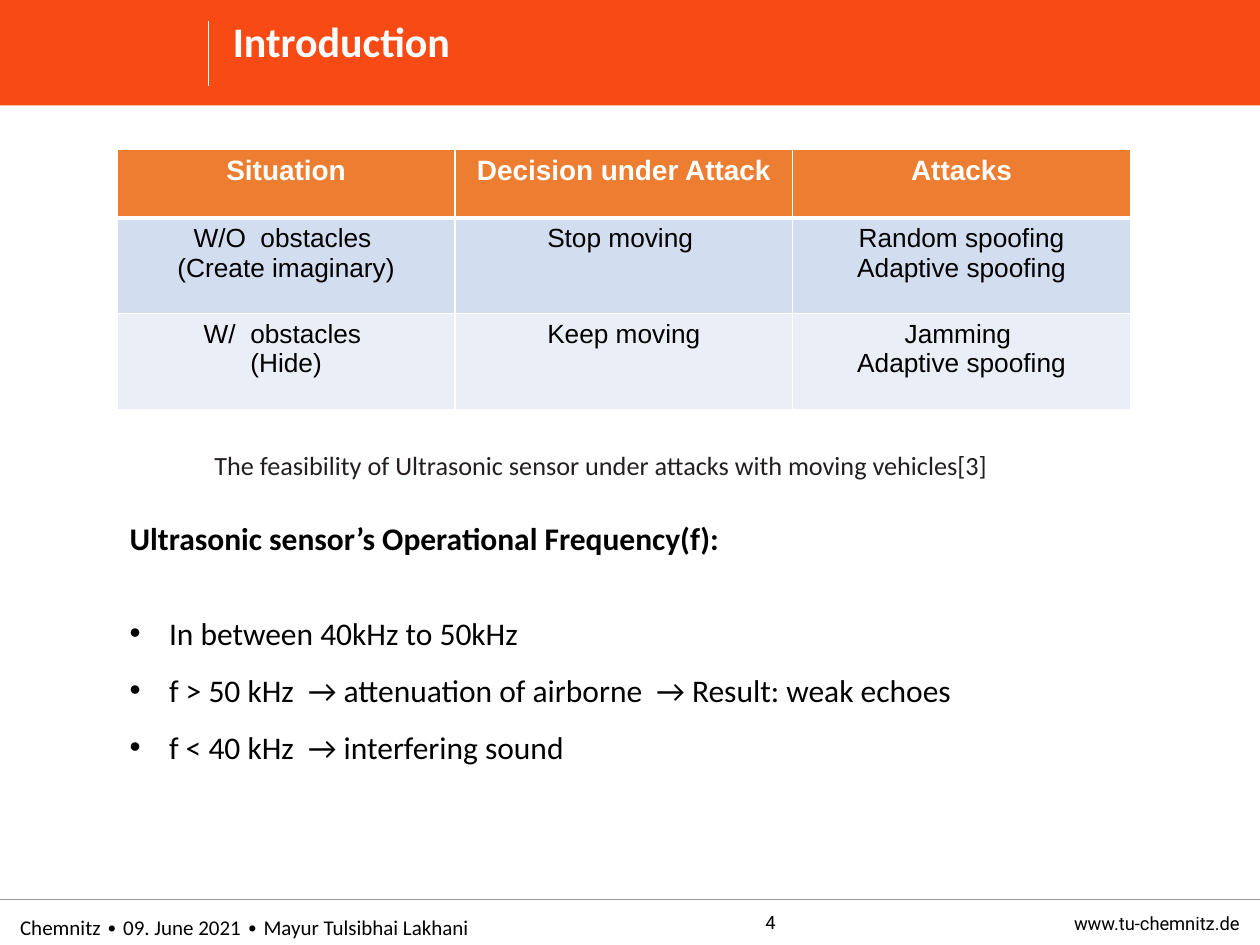
import pptx
import pptx.util
import pptx.dml.color
import pptx.enum.shapes
import pptx.enum.text
import pptx.oxml
import pptx.oxml.ns

Pt = pptx.util.Pt
ALIGN = pptx.enum.text.PP_ALIGN
ANCHOR = pptx.enum.text.MSO_ANCHOR
COLORS = {
    "bar": "F84A14", "white": "FFFFFF", "black": "000000", "rule": "999999",
    "caption": "231F20", "head": "ED7D31", "odd": "D2DEEF", "even": "EAEFF7",
}


def rgb(name):
    return pptx.dml.color.RGBColor.from_string(COLORS[name])


def element(xml):
    return pptx.oxml.parse_xml(xml.replace(" ", f" {pptx.oxml.ns.nsdecls('a')} ", 1))


class Deck:
    def __init__(self, width, height):
        self.prs = pptx.Presentation()
        self.prs.slide_width, self.prs.slide_height = Pt(width), Pt(height)
        self.s = self.prs.slides.add_slide(self.prs.slide_layouts[5])

    def run(self, p, text, size, color="black", font="Calibri", bold=False):
        r = p.add_run()
        r.text = text
        r.font.size, r.font.name, r.font.bold = Pt(size), font, bold
        r.font.color.rgb = rgb(color)

    def frame(self, sp, anchor=ANCHOR.TOP, inset=0):
        tf = sp.text_frame
        tf.word_wrap = True
        tf.auto_size = pptx.enum.text.MSO_AUTO_SIZE.NONE
        tf.vertical_anchor = anchor
        tf.margin_left = tf.margin_right = Pt(inset)
        tf.margin_top = tf.margin_bottom = Pt(inset / 2)
        return tf

    def bar(self, box, color):
        rect = pptx.enum.shapes.MSO_SHAPE.RECTANGLE
        sp = self.s.shapes.add_shape(rect, *map(Pt, box))
        sp.shadow.inherit = False
        sp.fill.solid()
        sp.fill.fore_color.rgb = rgb(color)
        sp.line.fill.background()

    def line(self, x1, y1, x2, y2, color, width):
        straight = pptx.enum.shapes.MSO_CONNECTOR.STRAIGHT
        sp = self.s.shapes.add_connector(straight, *map(Pt, (x1, y1, x2, y2)))
        sp.line.color.rgb, sp.line.width = rgb(color), Pt(width)
        sp._element.spPr.append(element("<a:effectLst />"))

    def title(self, box, text):
        sp = self.s.shapes.title
        sp.left, sp.top, sp.width, sp.height = map(Pt, box)
        # Bring the title in front of the bar
        self.s.shapes._spTree.append(sp._element)
        p = self.frame(sp).paragraphs[0]
        p.alignment, p.line_spacing = ALIGN.LEFT, 0.9
        self.run(p, text, 24, "white", bold=True)

    def text(self, box, text, size, align=ALIGN.LEFT, anchor=ANCHOR.MIDDLE, **style):
        sp = self.s.shapes.add_textbox(*map(Pt, box))
        p = self.frame(sp, anchor).paragraphs[0]
        p.alignment = align
        self.run(p, text, size, **style)

    def bullets(self, box, heading, items, size=18):
        tf = self.frame(self.s.shapes.add_textbox(*map(Pt, box)), inset=7.2)
        p = tf.paragraphs[0]
        p.space_after = Pt(22)
        self.run(p, heading, size, bold=True)
        for item in items:
            p = tf.add_paragraph()
            pPr = p._p.get_or_add_pPr()
            pPr.set("marL", str(Pt(22.5)))
            pPr.set("indent", str(-Pt(22.5)))
            pPr.append(element('<a:buFont typeface="Arial"/>'))
            pPr.append(element('<a:buChar char="•"/>'))
            p.line_spacing = 1.5
            self.run(p, item, size)

    def borders(self, cell, **widths):
        tcPr = cell._tc.get_or_add_tcPr()
        for i, side in enumerate("LRTB"):
            tcPr.insert(i, element(
                f'<a:ln{side} w="{Pt(widths.get(side, 1))}"><a:solidFill>'
                f'<a:srgbClr val="{COLORS["white"]}"/></a:solidFill></a:ln{side}>'))

    def table(self, box, heights, rows):
        columns = len(rows[0])
        table = self.s.shapes.add_table(len(rows), columns, *map(Pt, box)).table
        for column in table.columns:
            column.width = Pt(box[2] / columns)
        for i, (height, row) in enumerate(zip(heights, rows)):
            table.rows[i].height = Pt(height)
            for j, lines in enumerate(row):
                cell = table.cell(i, j)
                cell.fill.solid()
                cell.fill.fore_color.rgb = rgb(("head", "odd", "even")[i])
                self.borders(cell, **({"B": 3}, {"T": 3}, {})[i])
                for k, text in enumerate(lines):
                    tf = cell.text_frame
                    p = tf.add_paragraph() if k else tf.paragraphs[0]
                    p.alignment = ALIGN.CENTER
                    style = (16, "white") if i == 0 else (15, "black")
                    self.run(p, text, *style, font="Arial", bold=i == 0)


def main():
    d = Deck(720, 540)

    # Header
    d.bar((0, 0, 720, 60.3), "bar")
    d.line(119, 12, 119, 49, "white", 0.5)
    d.title((133, 12, 559, 37), "Introduction")

    # Footer
    d.line(0, 514, 720, 514, "rule", 1)
    d.text((487.5, 514, 221, 26.5), "www.tu-chemnitz.de", 10.5, ALIGN.RIGHT, font="Roboto")
    d.text((275, 514, 330.5, 26), "4", 10.5, ALIGN.CENTER, font="Roboto")
    d.text((11.5, 516.5, 340, 26.5), "Chemnitz ∙ 09. June 2021 ∙ Mayur Tulsibhai Lakhani", 12)

    # Attack table and its caption
    d.table((67, 85, 579, 149), (39.5, 54.75, 54.75), [
        [["Situation"], ["Decision under Attack"], ["Attacks"]],
        [["W/O  obstacles ", "(Create imaginary)"], ["Stop moving "],
         ["Random spoofing", "Adaptive spoofing"]],
        [["W/  obstacles ", "(Hide)"], ["Keep moving"],
         ["Jamming ", "Adaptive spoofing"]],
    ])
    d.text((122.5, 256.5, 597.5, 73.5),
           "The feasibility of Ultrasonic sensor under attacks with moving vehicles[3]",
           15, anchor=ANCHOR.TOP, color="caption")

    # Operating frequency
    d.bullets((67, 293, 579, 170.5), "Ultrasonic sensor’s Operational Frequency(f):", [
        "In between 40kHz to 50kHz",
        "f > 50 kHz  → attenuation of airborne  → Result: weak echoes",
        "f < 40 kHz  → interfering sound",
    ])

    d.prs.save("out.pptx")


if __name__ == "__main__":
    main()
